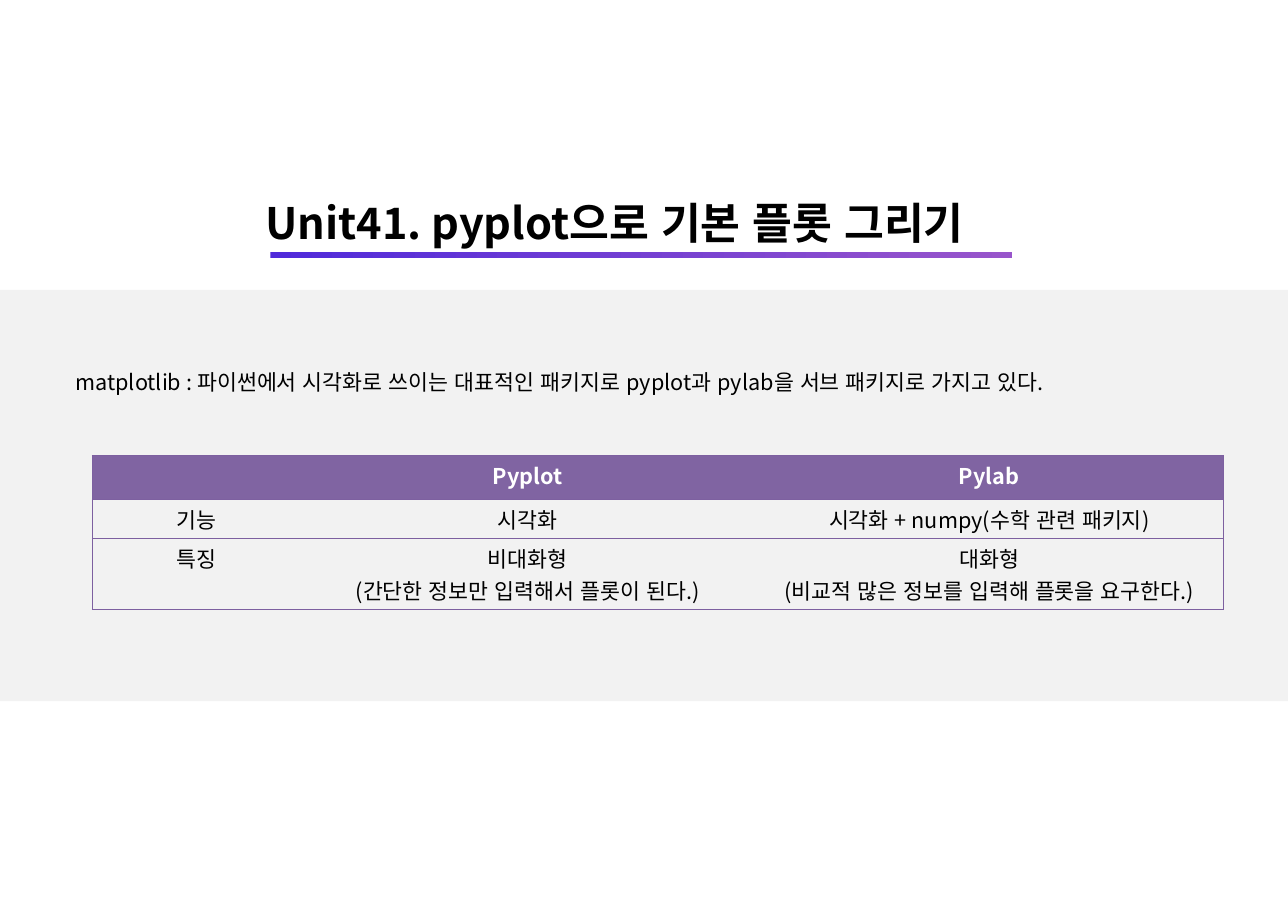
from dataclasses import dataclass

from lxml.etree import SubElement
from pptx import Presentation
from pptx.dml.color import RGBColor as RGB
from pptx.enum.lang import MSO_LANGUAGE_ID as Language
from pptx.enum.shapes import MSO_SHAPE as Preset
from pptx.enum.text import MSO_ANCHOR as Anchor, MSO_AUTO_SIZE as AutoSize, PP_ALIGN as Align
from pptx.oxml.ns import qn
from pptx.shapes.autoshape import Shape
from pptx.table import _Cell as Cell
from pptx.text.text import TextFrame
from pptx.util import Inches, Mm, Pt


@dataclass(frozen=True)
class Theme:
    font: str = "Noto Sans CJK KR"
    ink: str = "000000"
    paper: str = "FFFFFF"
    band: str = "F2F2F2"
    header: str = "8064A2"
    border: str = "7D60A0"
    accent_start: str = "502ADA"
    accent_end: str = "9855CB"
    heading_size: float = 40
    body_size: float = 20
    border_width: float = 0.75


@dataclass(frozen=True)
class Area:
    """Percentages of the slide's width and height."""
    left: float
    top: float
    width: float
    height: float


THEME = Theme()
WIDTH, HEIGHT = Mm(420), Mm(297)
NO_STYLE = "{2D5ABB26-0587-4C30-8999-92F81FD0307C}"

BAND = Area(0, 31.82, 100, 45.15)
HEADING = Area(20, 21.12, 60, 6.6)
UNDERLINE = Area(21, 27.7, 57.6, 0.62)
SUMMARY = Area(5, 38.62, 90, 6.6)
COLUMN_SHARES = (16.2, 35.25, 36.4)
ROW_SHARES = (4.74, 4.36, 7.58)
COMPARISON = Area(7.15, 50.03, sum(COLUMN_SHARES), sum(ROW_SHARES))

COMPARISON_ROWS = (
    ("", "Pyplot", "Pylab"),
    ("기능", "시각화", "시각화 + numpy(수학 관련 패키지)"),
    ("특징", "비대화형\n(간단한 정보만 입력해서 플롯이 된다.)",
     "대화형\n(비교적 많은 정보를 입력해 플롯을 요구한다.)"),
)


def across(share: float) -> int:
    return round(WIDTH * share / 100)


def down(share: float) -> int:
    return round(HEIGHT * share / 100)


def bounds(area: Area) -> tuple[int, int, int, int]:
    return across(area.left), down(area.top), across(area.width), down(area.height)


def write(frame: TextFrame, text: str, *, size: float = THEME.body_size,
          color: str = THEME.ink, bold: bool = False, align: Align = Align.LEFT) -> None:
    frame.text = text
    for paragraph in frame.paragraphs:
        paragraph.alignment = align
        paragraph.space_before = Pt(0)
        for run in paragraph.runs:
            run.font.name, run.font.size, run.font.bold = THEME.font, Pt(size), bold
            run.font.language_id = Language.KOREAN
            run.font.color.rgb = RGB.from_string(color)
            SubElement(run.font._element, qn("a:ea"), typeface=THEME.font)


def place(holder: Shape, area: Area, inset: float) -> None:
    holder.left, holder.top, holder.width, holder.height = bounds(area)
    frame = holder.text_frame
    frame.word_wrap, frame.auto_size = True, AutoSize.NONE
    frame.vertical_anchor = Anchor.MIDDLE
    frame.margin_left = frame.margin_right = Inches(inset)
    frame.margin_top = frame.margin_bottom = Inches(inset / 2)


def add_block(area: Area) -> Shape:
    block = slide.shapes.add_shape(Preset.RECTANGLE, *bounds(area))
    block.shadow.inherit = False
    block.line.fill.background()
    return block


def add_borders(cell: Cell, sides: str) -> None:
    properties = cell._tc.get_or_add_tcPr()
    for side in sides:
        line = SubElement(properties, qn(f"a:ln{side}"), w=str(Pt(THEME.border_width)))
        SubElement(SubElement(line, qn("a:solidFill")), qn("a:srgbClr"), val=THEME.border)


def fill_cell(cell: Cell, text: str, is_header: bool, sides: str) -> None:
    write(cell.text_frame, text, bold=is_header, align=Align.CENTER,
          color=THEME.paper if is_header else THEME.ink)
    add_borders(cell, sides)
    if is_header:
        cell.fill.solid()
        cell.fill.fore_color.rgb = RGB.from_string(THEME.header)
    else:
        cell.fill.background()


def add_comparison() -> None:
    table = slide.shapes.add_table(
        len(ROW_SHARES), len(COLUMN_SHARES), *bounds(COMPARISON)).table
    table.horz_banding = False
    table._tbl.tblPr.find(qn("a:tableStyleId")).text = NO_STYLE
    for column, share in zip(table.columns, COLUMN_SHARES):
        column.width = across(share)
    for row, share in zip(table.rows, ROW_SHARES):
        row.height = down(share)
    last = len(COLUMN_SHARES) - 1
    for r, texts in enumerate(COMPARISON_ROWS):
        for c, text in enumerate(texts):
            sides = ("L" if c == 0 else "") + ("R" if c == last else "") + "TB"
            fill_cell(table.cell(r, c), text, r == 0, sides)


deck = Presentation()
deck.slide_width, deck.slide_height = WIDTH, HEIGHT
deck.element.find(qn("p:sldSz")).attrib.pop("type", None)
slide = deck.slides.add_slide(deck.slide_layouts[1])
heading, summary = slide.placeholders

band = add_block(BAND)
band.fill.solid()
band.fill.fore_color.rgb = RGB.from_string(THEME.band)
heading._element.addprevious(band._element)

place(heading, HEADING, 0.1)
write(heading.text_frame, "Unit41. pyplot으로 기본 플롯 그리기",
      size=THEME.heading_size, bold=True)

place(summary, SUMMARY, 0.14)
write(summary.text_frame,
      "matplotlib : 파이썬에서 시각화로 쓰이는 대표적인 패키지로 "
      "pyplot과 pylab을 서브 패키지로 가지고 있다.")
summary_format = summary.text_frame.paragraphs[0]._p.get_or_add_pPr()
summary_format.set("marL", "0")
summary_format.set("indent", "0")
SubElement(summary_format, qn("a:buNone"))

underline = add_block(UNDERLINE)
underline.fill.gradient()
underline.fill.gradient_angle = 0
for stop, color in zip(underline.fill.gradient_stops, (THEME.accent_start, THEME.accent_end)):
    stop.color.rgb = RGB.from_string(color)

add_comparison()
deck.save("out.pptx")
